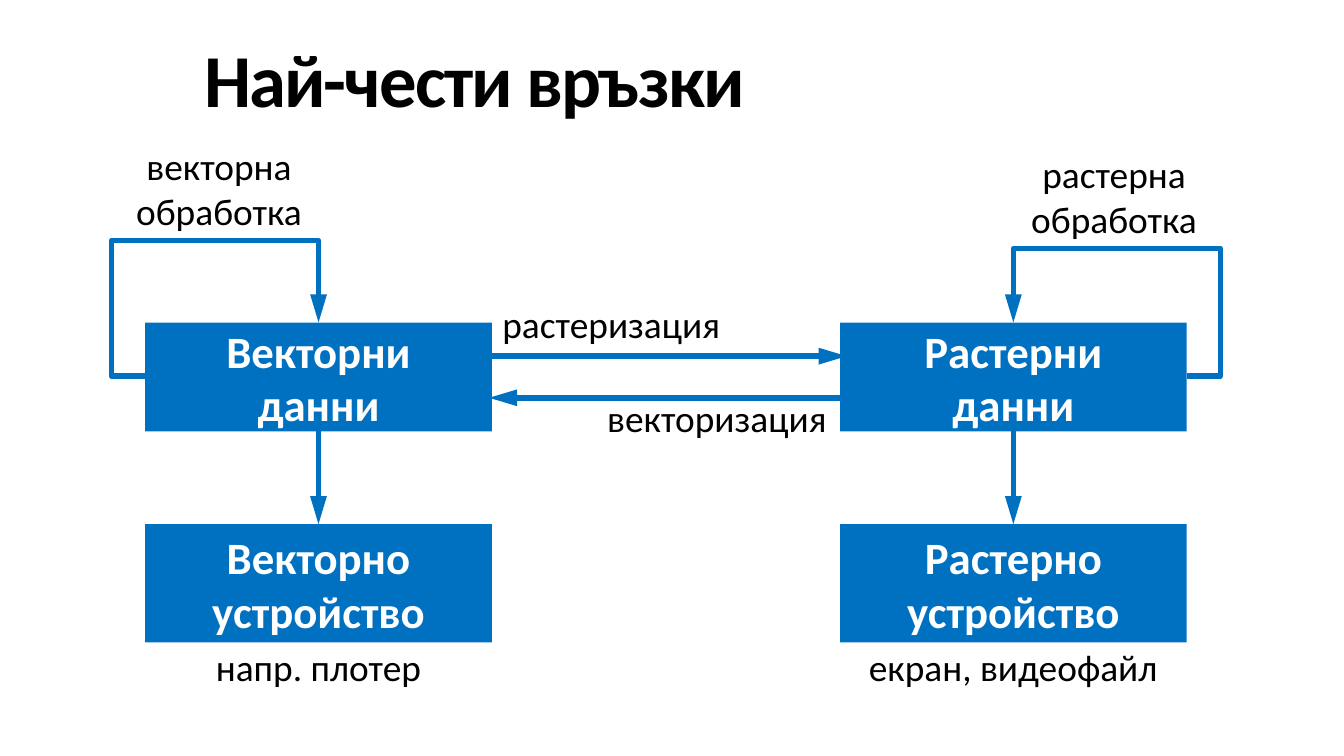
"""Build a slide on the usual links between vector and raster data."""
from lxml import etree
from pptx import Presentation
from pptx.dml.color import RGBColor
from pptx.enum.shapes import MSO_CONNECTOR, MSO_SHAPE
from pptx.enum.text import MSO_ANCHOR, PP_ALIGN
from pptx.oxml.ns import qn
from pptx.util import Inches, Pt

BLUE = RGBColor(0x00, 0x70, 0xC0)
BLACK = RGBColor(0x00, 0x00, 0x00)
WHITE = RGBColor(0xFF, 0xFF, 0xFF)
FONT = "Calibri"
RECTANGLE, ROUNDED = MSO_SHAPE.RECTANGLE, MSO_SHAPE.ROUNDED_RECTANGLE
STRAIGHT, ELBOW = MSO_CONNECTOR.STRAIGHT, MSO_CONNECTOR.ELBOW
LEFT, CENTER = PP_ALIGN.LEFT, PP_ALIGN.CENTER
MIDDLE = MSO_ANCHOR.MIDDLE

SLIDE_WIDTH = 10
SLIDE_HEIGHT = SLIDE_WIDTH * 9 / 16
TITLE = "Най-чести връзки"
BOX_WIDTH = 2.58
DATA_TOP, DATA_HEIGHT = 2.4, 0.81
DEVICE_TOP, DEVICE_HEIGHT = 3.9, 0.88
LOOP_START = 2.8
COLUMNS = [
    {"left": 1.08, "data": "Векторни\nданни", "device": "Векторно\nустройство",
     "example": "напр. плотер", "loop_side": 0, "loop_corner": (0.83, 1.79)},
    {"left": 6.25, "data": "Растерни\vданни", "device": "Растерно устройство",
     "example": "екран, видеофайл", "loop_side": BOX_WIDTH, "loop_corner": (9.08, 1.85)},
]
CONVERSIONS = [((3.63, 2.65), (6.3, 2.65)), ((6.33, 2.96), (3.64, 2.96))]
LABELS = [
    ("векторна обработка", (0.67, 1.09, 1.92, 0.62), CENTER),
    ("растерна обработка", (7.25, 1.15, 2.08, 0.62), CENTER),
    ("растеризация", (3.61, 2.1, 2.5, 0.62), LEFT),
    ("векторизация", (4.39, 2.8, 2.5, 0.62), LEFT),
]


def add_text(slide, text, place, kind=ROUNDED, fill=None, size=20,
             color=BLACK, bold=False, align=CENTER, spacing=None):
    left, top, width, height = map(Inches, place)
    if kind is None:
        shape = slide.shapes.add_textbox(left, top, width, height)
    else:
        shape = slide.shapes.add_shape(kind, left, top, width, height)
        shape.shadow.inherit = False
        shape.line.fill.background()
    if fill is None:
        shape.fill.background()
    else:
        shape.fill.solid()
        shape.fill.fore_color.rgb = fill
    frame = shape.text_frame
    frame.word_wrap = True
    frame.vertical_anchor = MIDDLE
    frame.text = text
    for paragraph in frame.paragraphs:
        paragraph.alignment = align
        for run in paragraph.runs:
            run.font.name = FONT
            run.font.size = Pt(size)
            run.font.bold = bold
            run.font.color.rgb = color
            if spacing is not None:
                run.font._element.set("spc", str(spacing))


def add_arrow(slide, start, end, corner=None):
    connector = slide.shapes.add_connector(
        ELBOW if corner else STRAIGHT, *map(Inches, start + end))
    connector.line.color.rgb = BLUE
    connector.line.width = Pt(3)
    properties = connector._element.spPr
    etree.SubElement(connector.line._get_or_add_ln(), qn("a:tailEnd"),
                     type="triangle", w="med", len="lg")
    etree.SubElement(properties, qn("a:effectLst"))
    if corner:
        geometry = properties.find(qn("a:prstGeom"))
        geometry.set("prst", "bentConnector4")
        guides = geometry.find(qn("a:avLst"))
        for number, (first, last, bend) in enumerate(zip(start, end, corner), 1):
            ratio = round((bend - first) / (last - first) * 100000)
            etree.SubElement(guides, qn("a:gd"), name=f"adj{number}", fmla=f"val {ratio}")


def main():
    presentation = Presentation()
    presentation.slide_width = Inches(SLIDE_WIDTH)
    presentation.slide_height = Inches(SLIDE_HEIGHT)
    slide = presentation.slides.add_slide(presentation.slide_layouts[6])
    add_text(slide, TITLE, (1.42, 0.15, 8.58, 0.85), kind=None, size=40,
             bold=True, align=LEFT, spacing=-100)

    for start, end in CONVERSIONS:
        add_arrow(slide, start, end)
    box_format = {"kind": RECTANGLE, "fill": BLUE, "size": 24, "color": WHITE, "bold": True}
    for column in COLUMNS:
        left = column["left"]
        center = left + BOX_WIDTH / 2
        add_arrow(slide, (left + column["loop_side"], LOOP_START),
                  (center, DATA_TOP), column["loop_corner"])
        add_arrow(slide, (center, DATA_TOP + DATA_HEIGHT), (center, DEVICE_TOP))
        add_text(slide, column["data"], (left, DATA_TOP, BOX_WIDTH, DATA_HEIGHT), **box_format)
        add_text(slide, column["device"], (left, DEVICE_TOP, BOX_WIDTH, DEVICE_HEIGHT),
                 **box_format)
        add_text(slide, column["example"], (center - 1.46, 4.77, 2.92, 0.38))
    for text, place, align in LABELS:
        add_text(slide, text, place, align=align)
    presentation.save("out.pptx")


if __name__ == "__main__":
    main()
